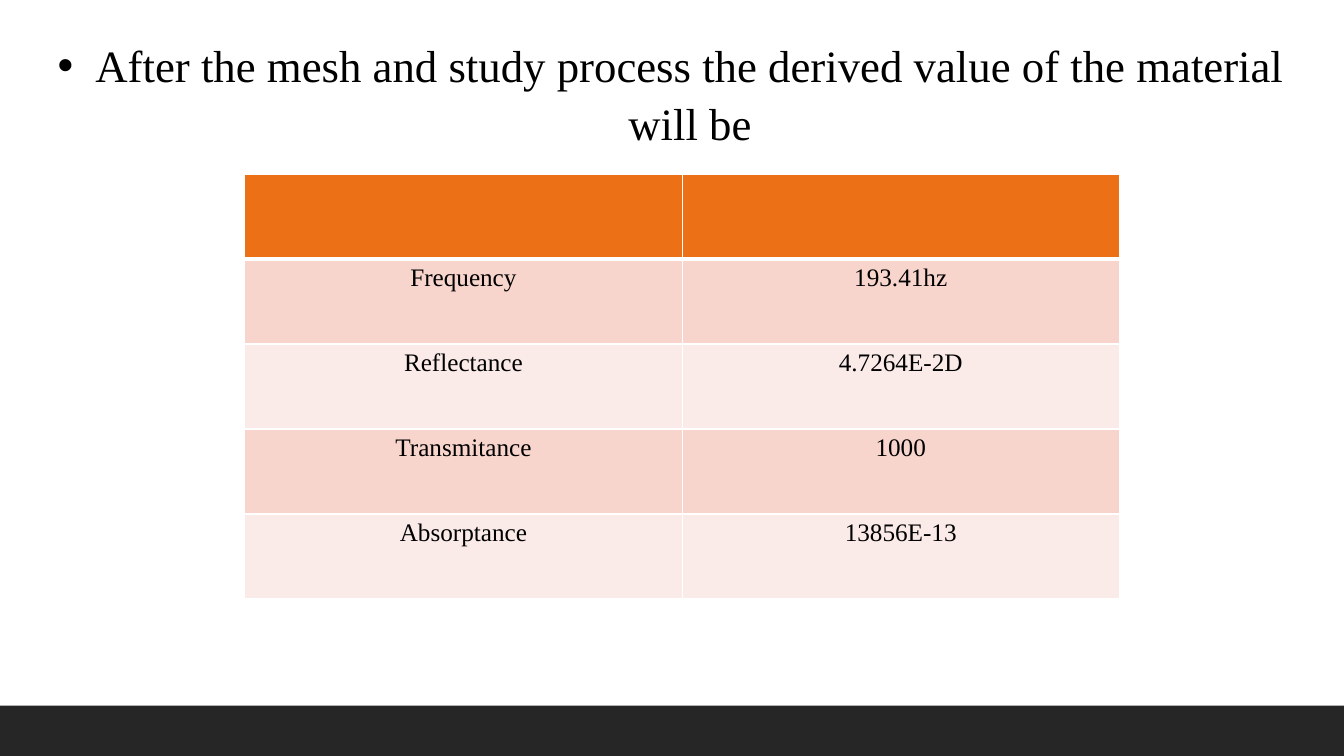
import pptx
import pptx.util
from pptx.dml.color import RGBColor
from pptx.enum.shapes import MSO_SHAPE
from pptx.enum.text import MSO_ANCHOR, PP_ALIGN
from pptx.oxml import parse_xml
from pptx.oxml.ns import nsdecls
from pptx.util import Cm

HEADING = "After the mesh and study process the derived value of the material will be"
ROWS = [
    ("", ""),
    ("Frequency", "193.41hz"),
    ("Reflectance", "4.7264E-2D"),
    ("Transmitance", "1000"),
    ("Absorptance", "13856E-13"),
]
FONT = "Times New Roman"
BLACK = RGBColor(0x00, 0x00, 0x00)
WHITE = RGBColor(0xFF, 0xFF, 0xFF)
CHARCOAL = RGBColor(0x26, 0x26, 0x26)
ORANGE = RGBColor(0xEC, 0x70, 0x16)
BANDS = [RGBColor(0xF8, 0xD5, 0xCC), RGBColor(0xFB, 0xEB, 0xE8)]

SLIDE_W, SLIDE_H = Cm(33.87), Cm(19.05)
FOOTER_H = Cm(1.27)
TABLE_X, TABLE_Y = Cm(6.17), Cm(4.39)
COL_W, ROW_H = Cm(11.02), Cm(2.14)


def write(tf, text, size=18, line_spacing=1.0):
    p = tf.paragraphs[0]
    p.alignment = PP_ALIGN.CENTER
    p.line_spacing = line_spacing
    p.space_before = pptx.util.Pt(0)
    r = p.add_run()
    r.text = text
    r.font.name = FONT
    r.font.size = pptx.util.Pt(size)
    r.font.color.rgb = BLACK
    return p


def add_bullet(p, indent):
    pPr = p._p.get_or_add_pPr()
    pPr.set("marL", str(indent))
    pPr.set("indent", str(-indent))
    pPr.append(parse_xml(f'<a:buFont {nsdecls("a")} typeface="Arial"/>'))
    pPr.append(parse_xml(f'<a:buChar {nsdecls("a")} char="•"/>'))


def set_borders(cell, bottom):
    tcPr = cell._tc.get_or_add_tcPr()
    widths = {"lnL": 1, "lnR": 1, "lnT": 1, "lnB": bottom}
    for i, (side, width) in enumerate(widths.items()):
        tcPr.insert(i, parse_xml(
            f'<a:{side} {nsdecls("a")} w="{pptx.util.Pt(width)}"><a:solidFill>'
            f'<a:srgbClr val="{WHITE}"/></a:solidFill></a:{side}>'))


def main():
    prs = pptx.Presentation()
    prs.slide_width, prs.slide_height = SLIDE_W, SLIDE_H
    s = prs.slides.add_slide(prs.slide_layouts[1])
    title, body = s.placeholders
    title._element.getparent().remove(title._element)

    footer = s.shapes.add_shape(
        MSO_SHAPE.RECTANGLE, 0, SLIDE_H - FOOTER_H, SLIDE_W, FOOTER_H)
    footer.shadow.inherit = False
    footer.fill.solid()
    footer.fill.fore_color.rgb = CHARCOAL
    footer.line.fill.background()

    body.left, body.top, body.width, body.height = Cm(0.61), Cm(0.74), Cm(32.61), Cm(14.4)
    body.text_frame.vertical_anchor = MSO_ANCHOR.TOP
    p = write(body.text_frame, HEADING, size=32, line_spacing=1.07)
    add_bullet(p, Cm(0.95))

    table = s.shapes.add_table(
        len(ROWS), 2, TABLE_X, TABLE_Y, 2 * COL_W, len(ROWS) * ROW_H).table
    for col in table.columns:
        col.width = COL_W
    for i, values in enumerate(ROWS):
        table.rows[i].height = ROW_H
        for j, value in enumerate(values):
            cell = table.cell(i, j)
            cell.fill.solid()
            cell.fill.fore_color.rgb = BANDS[(i - 1) % 2] if i else ORANGE
            set_borders(cell, bottom=1 if i else 3)
            if value:
                write(cell.text_frame, value)

    prs.save("out.pptx")


if __name__ == "__main__":
    main()
